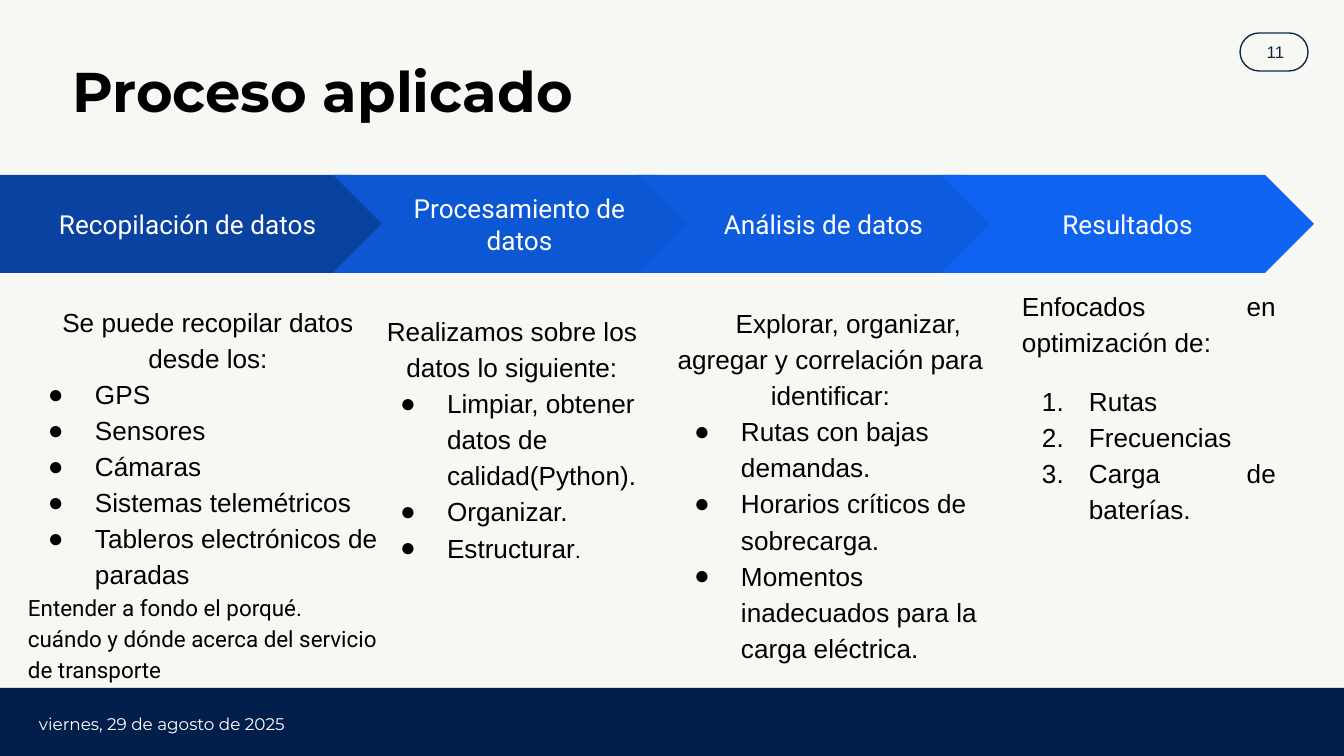
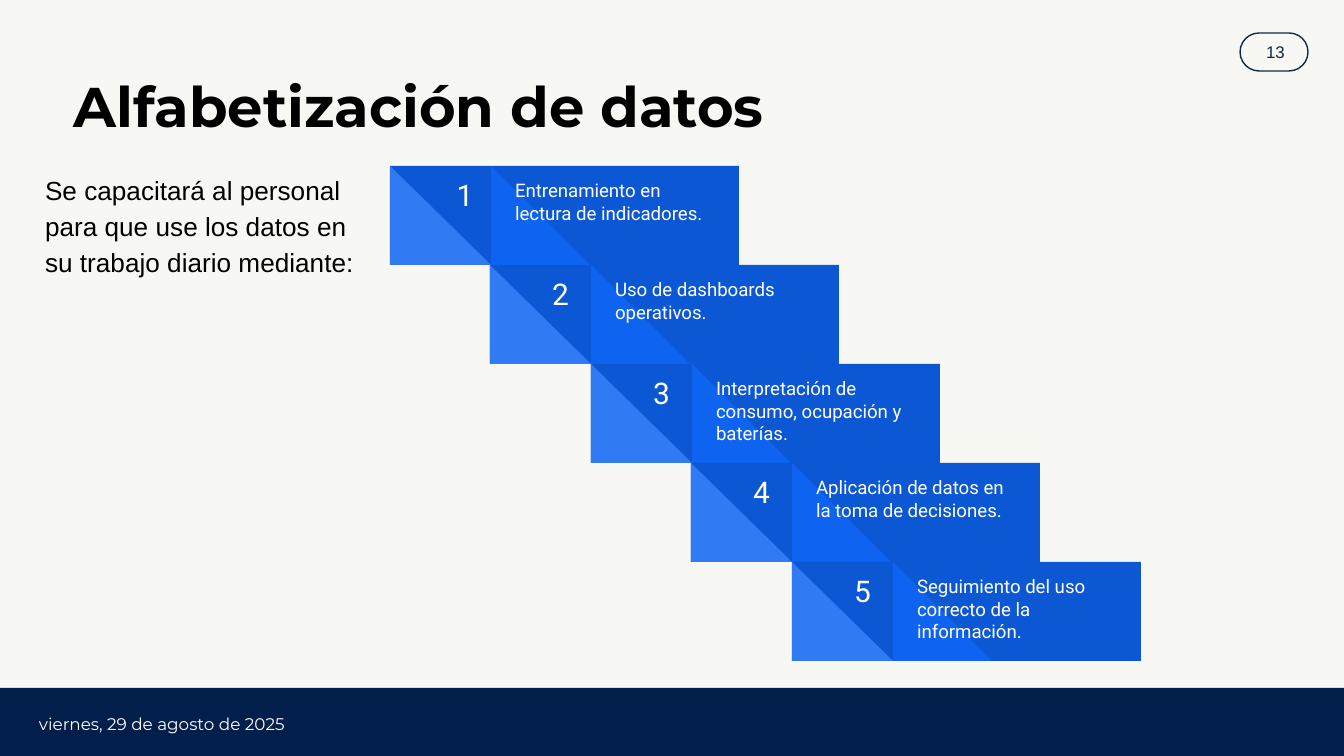
from dataclasses import dataclass

from lxml.etree import SubElement
from pptx import Presentation
from pptx.dml.color import RGBColor
from pptx.enum.shapes import MSO_SHAPE as Shape
from pptx.enum.text import MSO_ANCHOR as Anchor, MSO_AUTO_SIZE as AutoSize, PP_ALIGN as Align
from pptx.oxml.ns import qn
from pptx.util import Emu, Pt


@dataclass(frozen=True)
class Theme:
    background: str = "F7F7F3"
    band: str = "021E4B"
    outline: str = "0E2841"
    ink: str = "000000"
    white: str = "FFFFFF"
    stair: str = "0C57D3"
    stair_middle: str = "0E63F0"
    stair_light: str = "307AF3"
    arrows: tuple = ("0942A1", "0C57D3", "0D5CDF", "0E63F0")
    title_font: str = "Montserrat"
    body_font: str = "Arial"
    accent_font: str = "Roboto"
    title_size: int = 30
    number_size: int = 16
    body_size: int = 14
    note_size: int = 12
    step_size: int = 10
    footer_size: int = 9


THEME = Theme()
EMU_PER_PX = 914400 / 134.4
SLIDE_WIDTH, SLIDE_HEIGHT = 1344, 756
BOX_INSETS = (13, 13)
FIELD_INSETS = (9, 5)
LIST_MARGIN, LIST_HANGING = 67, 47
FIRST_LINE_INDENT = 36

DATE = "viernes, 29 de agosto de 2025"

PROCESS = {
    "title": "Proceso aplicado",
    "title_box": (63, 32, 1177, 125),
    "number": "11",
    "stages": [
        {
            "name": "Recopilación de datos",
            "box": (15, 289, 386, 392),
            "intro": "Se puede recopilar datos desde los:",
            "items": ["GPS", "Sensores", "Cámaras", "Sistemas telemétricos",
                      "Tableros electrónicos de paradas"],
            "note": "Entender a fondo el porqué.\vcuándo y dónde acerca del servicio de transporte",
        },
        {
            "name": "Procesamiento de datos",
            "box": (367, 298, 290, 384),
            "intro": "Realizamos sobre los datos lo siguiente:",
            "items": ["Limpiar, obtener datos de calidad(Python).", "Organizar.", "Estructurar"],
            "ending": ".",
        },
        {
            "name": "Análisis de datos",
            "box": (661, 290, 339, 384),
            "intro": "Explorar, organizar, agregar y correlación para identificar:",
            "intro_indent": FIRST_LINE_INDENT,
            "items": ["Rutas con bajas demandas.", "Horarios críticos de sobrecarga.",
                      "Momentos inadecuados para la carga eléctrica."],
        },
        {
            "name": "Resultados",
            "box": (1009, 273, 280, 384),
            "intro": "Enfocados en optimización de:",
            "items": ["Rutas", "Frecuencias", "Carga de baterías."],
            "numbered": True,
        },
    ],
}

LITERACY = {
    "title": "Alfabetización de datos",
    "title_box": (65, 36, 1177, 146),
    "number": "13",
    "intro": "Se capacitará al personal para que use los datos en su trabajo diario mediante:",
    "steps": [
        ("Entrenamiento en lectura de indicadores.", 54),
        ("Uso de dashboards operativos.", 63),
        ("Interpretación de consumo, ocupación y baterías.", 63),
        ("Aplicación de datos en la toma de decisiones.", 63),
        ("Seguimiento del uso correcto de la información.", 63),
    ],
}


def px(length):
    return Emu(round(length * EMU_PER_PX))


def rgb(color):
    return RGBColor.from_string(color)


def set_font(font, name, size, color, bold=False):
    font.name, font.size, font.bold = name, Pt(size), bold
    font.color.rgb = rgb(color)


def prepare_frame(shape, insets=BOX_INSETS, anchor=Anchor.TOP):
    frame = shape.text_frame
    frame.word_wrap = True
    frame.auto_size = AutoSize.NONE
    frame.vertical_anchor = anchor
    frame.margin_left = frame.margin_right = px(insets[0])
    frame.margin_top = frame.margin_bottom = px(insets[1])
    return frame


def write(paragraph, text, font, size, color, align=Align.LEFT, spacing=None, bold=False):
    paragraph.text = text
    paragraph.alignment = align
    if spacing:
        paragraph.line_spacing = spacing
    set_font(paragraph.font, font, size, color, bold)


def write_body(paragraph, text, align=Align.LEFT):
    write(paragraph, text, THEME.body_font, THEME.body_size, THEME.ink, align, 1.15)


def set_indent(paragraph, margin, indent):
    properties = paragraph._p.get_or_add_pPr()
    properties.set("marL", str(px(margin)))
    properties.set("indent", str(px(indent)))
    return properties


def add_marker(paragraph, numbered):
    properties = set_indent(paragraph, LIST_MARGIN, -LIST_HANGING)
    SubElement(SubElement(properties, qn("a:buClr")), qn("a:srgbClr"), val=THEME.ink)
    SubElement(properties, qn("a:buFont"), typeface=THEME.body_font)
    if numbered:
        SubElement(properties, qn("a:buAutoNum"), type="arabicPeriod")
    else:
        SubElement(properties, qn("a:buChar"), char="●")


def add_box(slide, box):
    return slide.shapes.add_textbox(*map(px, box))


def add_label(slide, box, text, font, size, color,
              align=Align.LEFT, insets=BOX_INSETS, anchor=Anchor.TOP):
    frame = prepare_frame(add_box(slide, box), insets, anchor)
    write(frame.paragraphs[0], text, font, size, color, align)


def add_shape(slide, kind, box, fill=None, line=None):
    shape = slide.shapes.add_shape(kind, *map(px, box))
    shape.shadow.inherit = False
    if fill:
        shape.fill.solid()
        shape.fill.fore_color.rgb = rgb(fill)
    else:
        shape.fill.background()
    if line:
        shape.line.color.rgb = rgb(line)
        shape.line.width = Pt(0.75)
    else:
        shape.line.fill.background()
    return shape


def add_base_slide(presentation, content):
    slide = presentation.slides.add_slide(presentation.slide_layouts.get_by_name("Title Only"))
    add_shape(slide, Shape.RECTANGLE, (0, 688, SLIDE_WIDTH, 68), THEME.band)
    pill = add_shape(slide, Shape.ROUNDED_RECTANGLE, (1240, 33, 68, 38), line=THEME.outline)
    pill.adjustments[0] = 0.5
    add_label(slide, (1242, 32, 67, 40), content["number"], THEME.body_font, THEME.footer_size,
              THEME.outline, Align.CENTER, FIELD_INSETS, Anchor.MIDDLE)
    add_label(slide, (30, 704, 302, 40), DATE, THEME.title_font, THEME.footer_size,
              THEME.white, insets=FIELD_INSETS, anchor=Anchor.MIDDLE)
    title = slide.shapes.title
    title.left, title.top, title.width, title.height = map(px, content["title_box"])
    frame = prepare_frame(title, FIELD_INSETS, Anchor.MIDDLE)
    write(frame.paragraphs[0], content["title"], THEME.title_font, THEME.title_size,
          THEME.ink, spacing=0.9, bold=True)
    return slide


def add_stage_arrow(slide, index, name):
    if index == 0:
        kind, box = Shape.PENTAGON, (0, 175, 400, 98)
    else:
        kind, box = Shape.CHEVRON, (333 + 304 * (index - 1), 175, 373, 98)
    arrow = add_shape(slide, kind, box, THEME.arrows[index])
    arrow.adjustments[0] = 0.5
    frame = prepare_frame(arrow, anchor=Anchor.MIDDLE)
    write(frame.paragraphs[0], name, THEME.accent_font, THEME.body_size,
          THEME.white, Align.CENTER)


def add_stage_text(slide, stage):
    numbered = stage.get("numbered", False)
    frame = prepare_frame(add_box(slide, stage["box"]))
    intro = frame.paragraphs[0]
    write_body(intro, stage["intro"], Align.JUSTIFY if numbered else Align.CENTER)
    if "intro_indent" in stage:
        set_indent(intro, 0, stage["intro_indent"])
    for index, item in enumerate(stage["items"]):
        paragraph = frame.add_paragraph()
        if numbered and index == 0:
            paragraph.space_before = Pt(12)
        add_marker(paragraph, numbered)
        write_body(paragraph, item, Align.JUSTIFY if numbered else Align.LEFT)
    if "ending" in stage:
        run = paragraph.add_run()
        run.text = stage["ending"]
        set_font(run.font, THEME.accent_font, THEME.note_size, THEME.ink)
    if "note" in stage:
        write(frame.add_paragraph(), stage["note"], THEME.accent_font, THEME.note_size,
              THEME.ink, spacing=1.15)


def build_process(presentation):
    slide = add_base_slide(presentation, PROCESS)
    for index, stage in enumerate(PROCESS["stages"]):
        add_stage_arrow(slide, index, stage["name"])
        add_stage_text(slide, stage)


def build_literacy(presentation):
    slide = add_base_slide(presentation, LITERACY)
    first_left, last_left, first_top, height = 390, 792, 166, 99
    last_index = len(LITERACY["steps"]) - 1
    for index, (text, number_width) in enumerate(LITERACY["steps"]):
        left = first_left + (last_left - first_left) * index // last_index
        top = first_top + height * index
        add_shape(slide, Shape.RECTANGLE, (left, top, 349, height), THEME.stair)
        add_shape(slide, Shape.RIGHT_TRIANGLE, (left + 101, top, 99, height), THEME.stair_middle)
        add_shape(slide, Shape.RIGHT_TRIANGLE, (left, top, 101, height), THEME.stair_light)
        add_label(slide, (left + 102 - number_width, top, number_width, 60), str(index + 1),
                  THEME.accent_font, THEME.number_size, THEME.white, Align.CENTER,
                  anchor=Anchor.BOTTOM)
        add_label(slide, (left + 112, top, 219, height), text,
                  THEME.accent_font, THEME.step_size, THEME.white)
    intro = prepare_frame(add_box(slide, (32, 157, 359, 132))).paragraphs[0]
    write_body(intro, LITERACY["intro"])


def main():
    presentation = Presentation()
    presentation.slide_width, presentation.slide_height = px(SLIDE_WIDTH), px(SLIDE_HEIGHT)
    background = presentation.slide_master.background.fill
    background.solid()
    background.fore_color.rgb = rgb(THEME.background)
    build_process(presentation)
    build_literacy(presentation)
    presentation.save("out.pptx")


if __name__ == "__main__":
    main()
